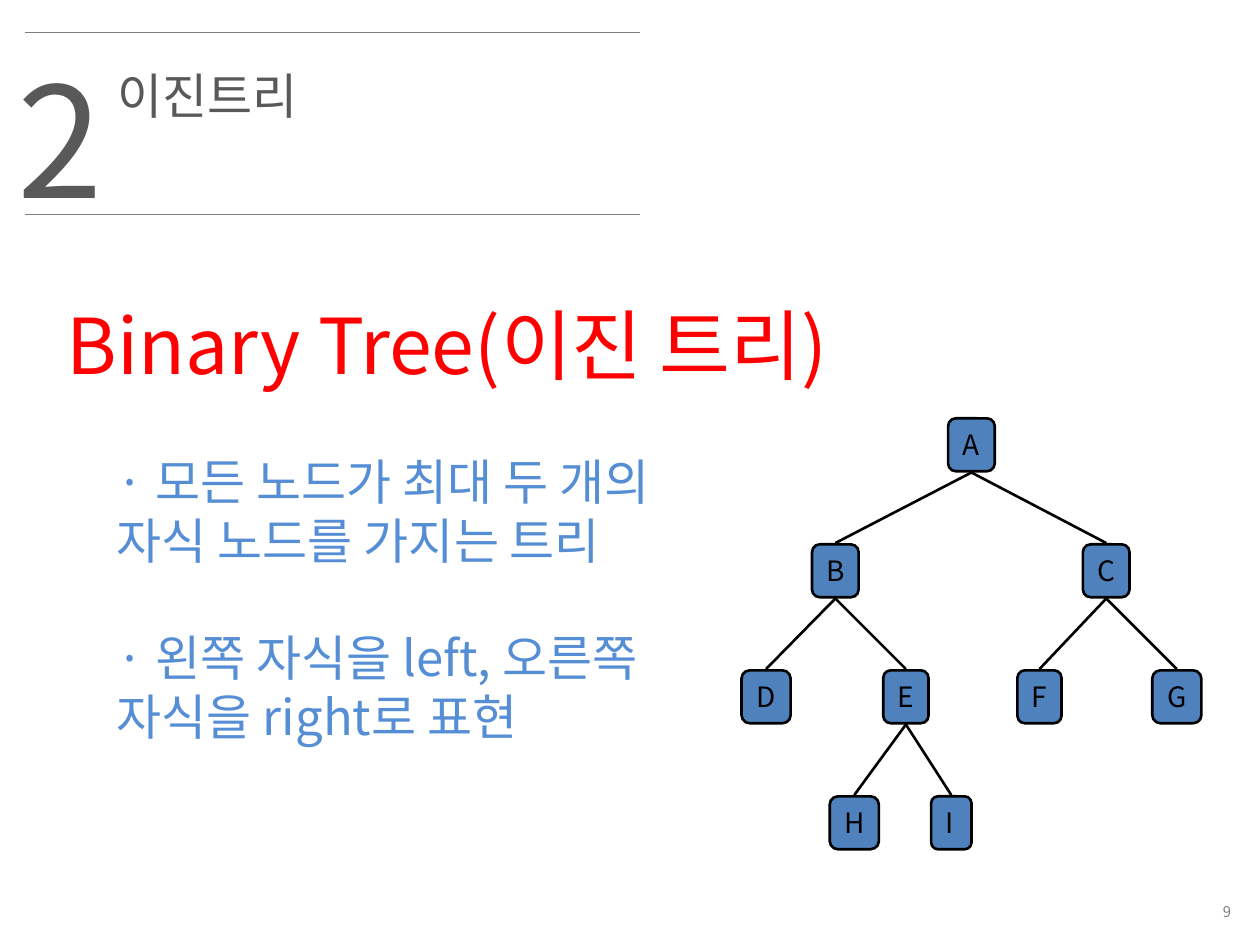
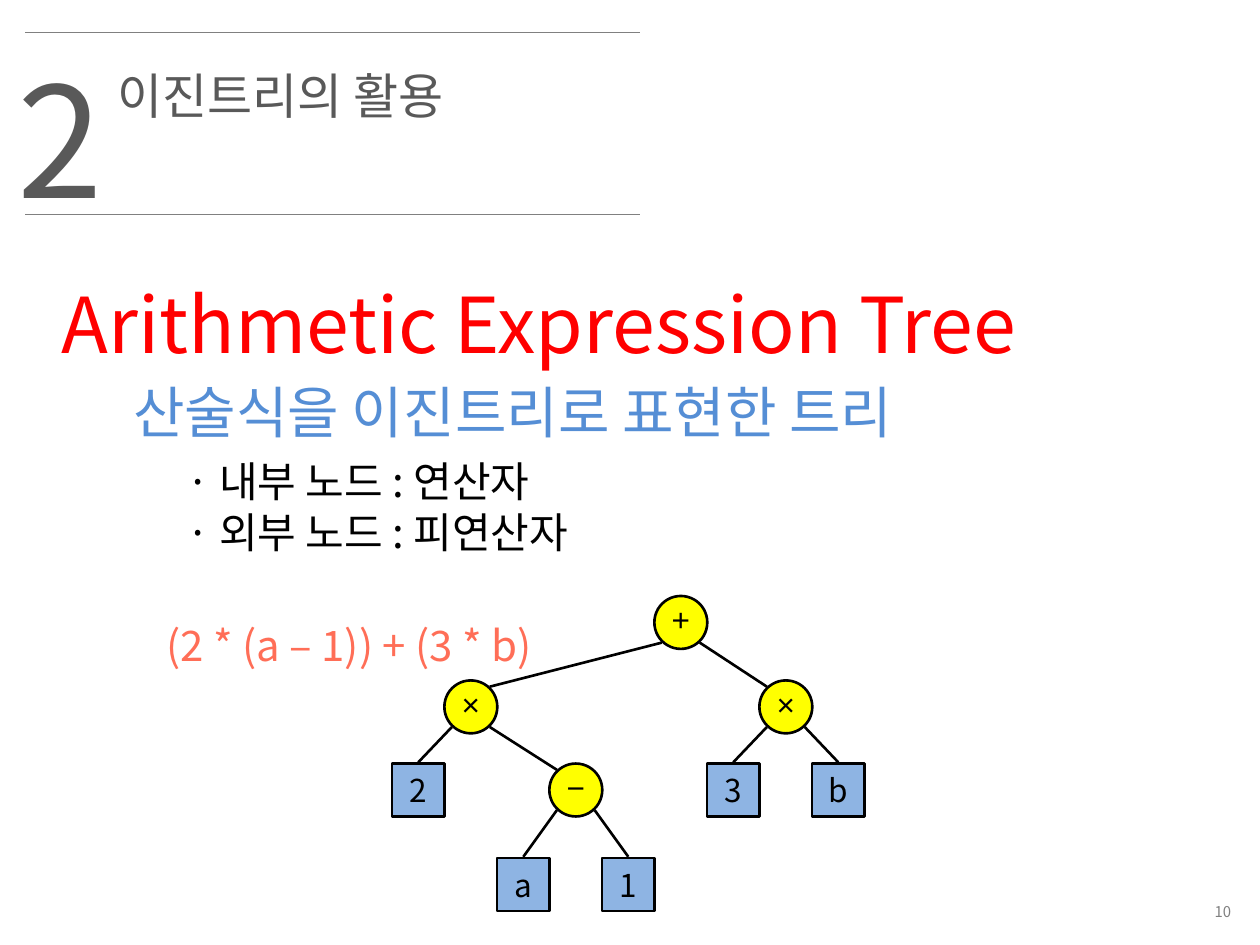
from lxml.etree import SubElement
from pptx import Presentation
from pptx.dml.color import RGBColor
from pptx.enum.shapes import MSO_CONNECTOR, MSO_SHAPE
from pptx.enum.text import MSO_ANCHOR, PP_ALIGN
from pptx.oxml.ns import qn
from pptx.util import Inches, Pt

FONT = "Noto Sans CJK KR"
BLACK, GRAY, DARK = "000000", "808080", "595959"
RED, BLUE, CORAL = "FF0000", "558ED5", "FF6E57"
NODE_BLUE, LEAF_BLUE, YELLOW = "4F81BD", "8EB4E3", "FFFF00"
FIRST_NUMBER = 9
LINE_HEIGHT = 1.2
BASELINE_SHIFT = 0.085

LETTER_NODES = {
    "A": (7.71, 0, 0.37), "B": (6.63, 1, 0.37), "C": (8.78, 1, 0.37),
    "D": (6.08, 2, 0.39), "E": (7.19, 2, 0.36), "F": (8.25, 2, 0.35),
    "G": (9.34, 2, 0.39), "H": (6.78, 3, 0.39), "I": (7.55, 3, 0.32),
}
LETTER_EDGES = ["AB", "AC", "BD", "BE", "CF", "CG", "EH", "EI"]

EXPRESSION = [("2", 2), ("×", 1), ("a", 3), ("−", 2), ("1", 3),
              ("+", 0), ("3", 2), ("×", 1), ("b", 2)]
EXPRESSION_EDGES = [(5, 1), (5, 7), (1, 0), (1, 3), (3, 2), (3, 4), (7, 6), (7, 8)]
EXPRESSION_TOPS = [4.73, 5.4, 6.06, 6.81]
NODE_SIZE = 0.42


def color(value):
    return RGBColor.from_string(value)


def style_span(span, size, ink, font=FONT):
    span.font.size = Pt(size)
    span.font.name = font
    span.font.color.rgb = color(ink)
    SubElement(span.font._element, qn("a:ea"), typeface=font)


def fill_text(box, lines, size, ink, align=PP_ALIGN.LEFT):
    frame = box.text_frame
    frame.word_wrap = True
    frame.vertical_anchor = MSO_ANCHOR.TOP
    frame.margin_top = Inches(0.05) + Pt(size * BASELINE_SHIFT)
    frame.text = "\n".join(lines)
    for para in frame.paragraphs:
        para.alignment = align
        para.line_spacing = Pt(size * LINE_HEIGHT)
        for span in para.runs:
            style_span(span, size, ink)


def add_text(page, place, lines, size, ink, align=PP_ALIGN.LEFT):
    box = page.shapes.add_textbox(*map(Inches, place))
    fill_text(box, lines, size, ink, align)
    return box


def add_line(page, start, end, ink=BLACK, width=1.5):
    line = page.shapes.add_connector(MSO_CONNECTOR.STRAIGHT, *map(Inches, start + end))
    line.line.color.rgb = color(ink)
    line.line.width = Pt(width)
    SubElement(line._element.spPr, qn("a:effectLst"))


def add_node(page, kind, place, label, fill, size, align, font=FONT):
    node = page.shapes.add_shape(kind, *map(Inches, place))
    node.shadow.inherit = False
    node.fill.solid()
    node.fill.fore_color.rgb = color(fill)
    node.line.color.rgb = color(BLACK)
    node.line.width = Pt(1.5)
    frame = node.text_frame
    frame.word_wrap = False
    frame.vertical_anchor = MSO_ANCHOR.MIDDLE
    frame.text = label
    para = frame.paragraphs[0]
    para.alignment = align
    style_span(para.runs[0], size, BLACK, font)
    return node


def add_page_number(page, number):
    box = page.shapes.add_textbox(*map(Inches, (7.76, 7.1, 2.11, 0.27)))
    box.text_frame.vertical_anchor = MSO_ANCHOR.MIDDLE
    box.text_frame.word_wrap = True
    para = box.text_frame.paragraphs[0]
    para.text = str(number)
    para.alignment = PP_ALIGN.RIGHT
    style_span(para.runs[0], 8.5, GRAY)
    field = para.runs[0]._r
    field.tag = qn("a:fld")
    field.set("id", "{B6F15528-21DE-4FAA-801E-634DDDAF4B2B}")
    field.set("type", "slidenum")


def add_page(deck, title, title_width):
    page = deck.slides.add_slide(deck.slide_layouts[5])
    add_page_number(page, FIRST_NUMBER + len(deck.slides) - 1)
    for top in (0.26, 1.7):
        add_line(page, (0.2, top), (5.08, top), GRAY, 0.75)
    heading = page.shapes.title
    heading.left, heading.top = Inches(0.83), Inches(0.44)
    heading.width, heading.height = Inches(title_width), Inches(0.57)
    fill_text(heading, [title], 28, DARK)
    add_text(page, (0.04, 0.2, 0.79, 1.58), ["2"], 88, DARK)
    return page


def draw_letter_tree(page):
    for parent, child in LETTER_EDGES:
        start_x, level, _ = LETTER_NODES[parent]
        add_line(page, (start_x, 3.75 + level), (LETTER_NODES[child][0], 4.31 + level))
    for label, (center, level, width) in LETTER_NODES.items():
        place = (center - width / 2, 3.32 + level, width, 0.42)
        add_node(page, MSO_SHAPE.ROUNDED_RECTANGLE, place, label, NODE_BLUE, 16, PP_ALIGN.LEFT)


def expression_center(index):
    return 3.32 + index * 2.5 / 6, EXPRESSION_TOPS[EXPRESSION[index][1]] + NODE_SIZE / 2


def draw_expression_tree(page):
    operators = {parent for parent, child in EXPRESSION_EDGES}
    for index, (label, level) in enumerate(EXPRESSION):
        center_x, center_y = expression_center(index)
        place = (center_x - NODE_SIZE / 2, center_y - NODE_SIZE / 2, NODE_SIZE, NODE_SIZE)
        if index in operators:
            node = add_node(page, MSO_SHAPE.OVAL, place, label, YELLOW, 18, PP_ALIGN.CENTER, "Arial")
            frame = node.text_frame
            frame.margin_left = frame.margin_top = frame.margin_right = 0
        else:
            add_node(page, MSO_SHAPE.RECTANGLE, place, label, LEAF_BLUE, 18, PP_ALIGN.CENTER)
    for parent, child in EXPRESSION_EDGES:
        side = 0.15 if child > parent else -0.15
        start_x, start_y = expression_center(parent)
        end_x, end_y = expression_center(child)
        if child in operators:
            end = (end_x - side, end_y - 0.16)
        else:
            end = (end_x, end_y - 0.22)
        add_line(page, (start_x + side, start_y + 0.16), end)


def build_binary_tree(deck):
    page = add_page(deck, "이진트리", 2.28)
    add_text(page, (0.43, 2.26, 6.75, 0.84), ["Binary Tree(이진 트리)"], 44, RED)
    body = add_text(page, (0.83, 3.5, 4.61, 2.46), [
        "· 모든 노드가 최대 두 개의", "자식 노드를 가지는 트리",
        "· 왼쪽 자식을 left, 오른쪽", "자식을 right로 표현"], 28, BLUE)
    body.text_frame.paragraphs[2].space_before = Pt(28 * LINE_HEIGHT)
    draw_letter_tree(page)


def build_expression_tree(deck):
    page = add_page(deck, "이진트리의 활용", 2.83)
    add_text(page, (0.39, 2.09, 9.13, 0.84), ["Arithmetic Expression Tree"], 44, RED)
    add_text(page, (0.96, 2.91, 6.39, 0.64), ["산술식을 이진트리로 표현한 트리"], 32, BLUE)
    draw_expression_tree(page)
    add_text(page, (1.38, 3.54, 3.54, 0.91),
             ["· 내부 노드 : 연산자", "· 외부 노드 : 피연산자"], 24, BLACK)
    add_text(page, (1.14, 4.84, 3.26, 0.5), ["(2 * (a – 1)) + (3 * b)"], 24, CORAL,
             PP_ALIGN.CENTER)


def main():
    deck = Presentation()
    deck.slide_width, deck.slide_height = Inches(10), Inches(7.5)
    deck.element.set("firstSlideNum", str(FIRST_NUMBER))
    build_binary_tree(deck)
    build_expression_tree(deck)
    deck.save("out.pptx")


main()
